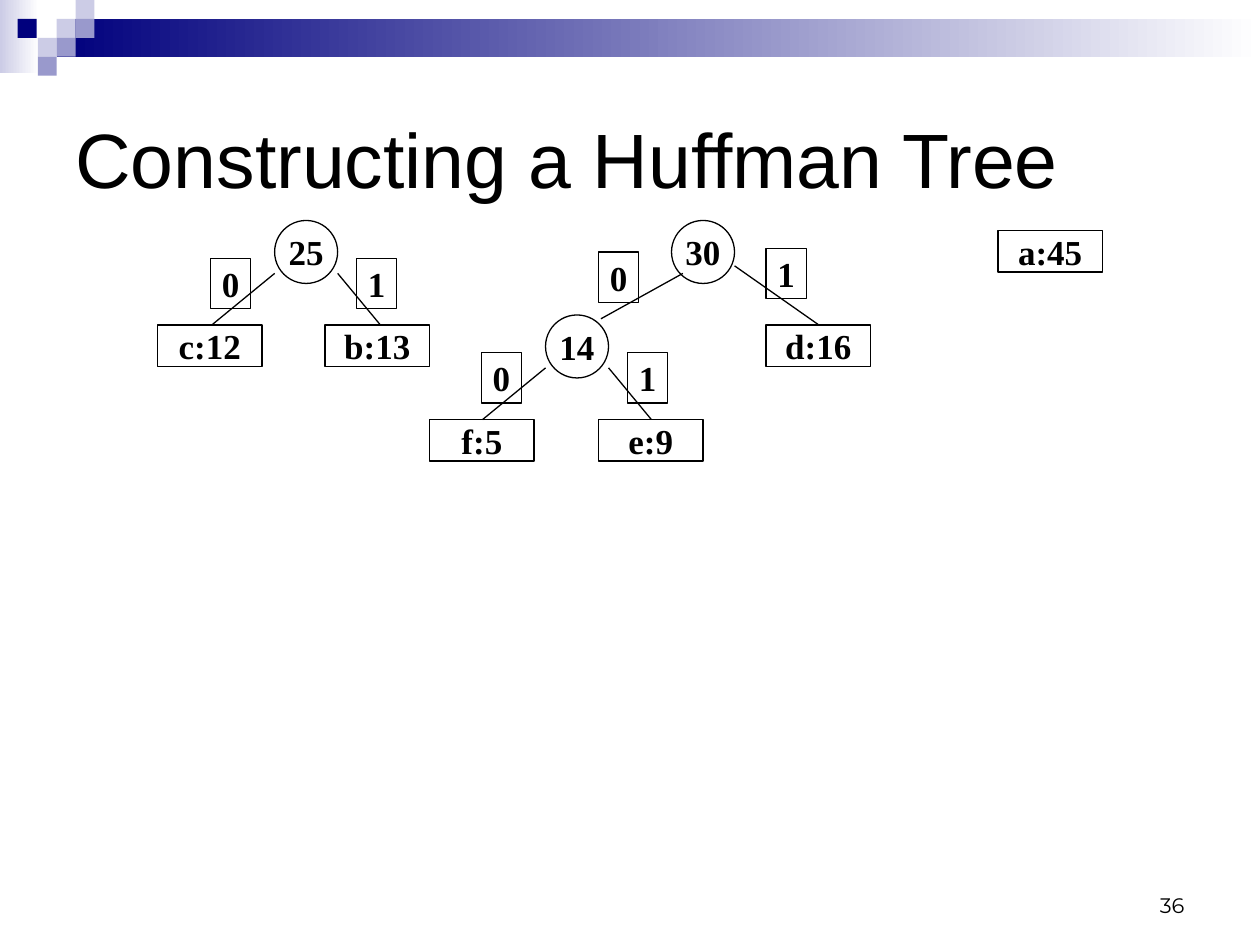
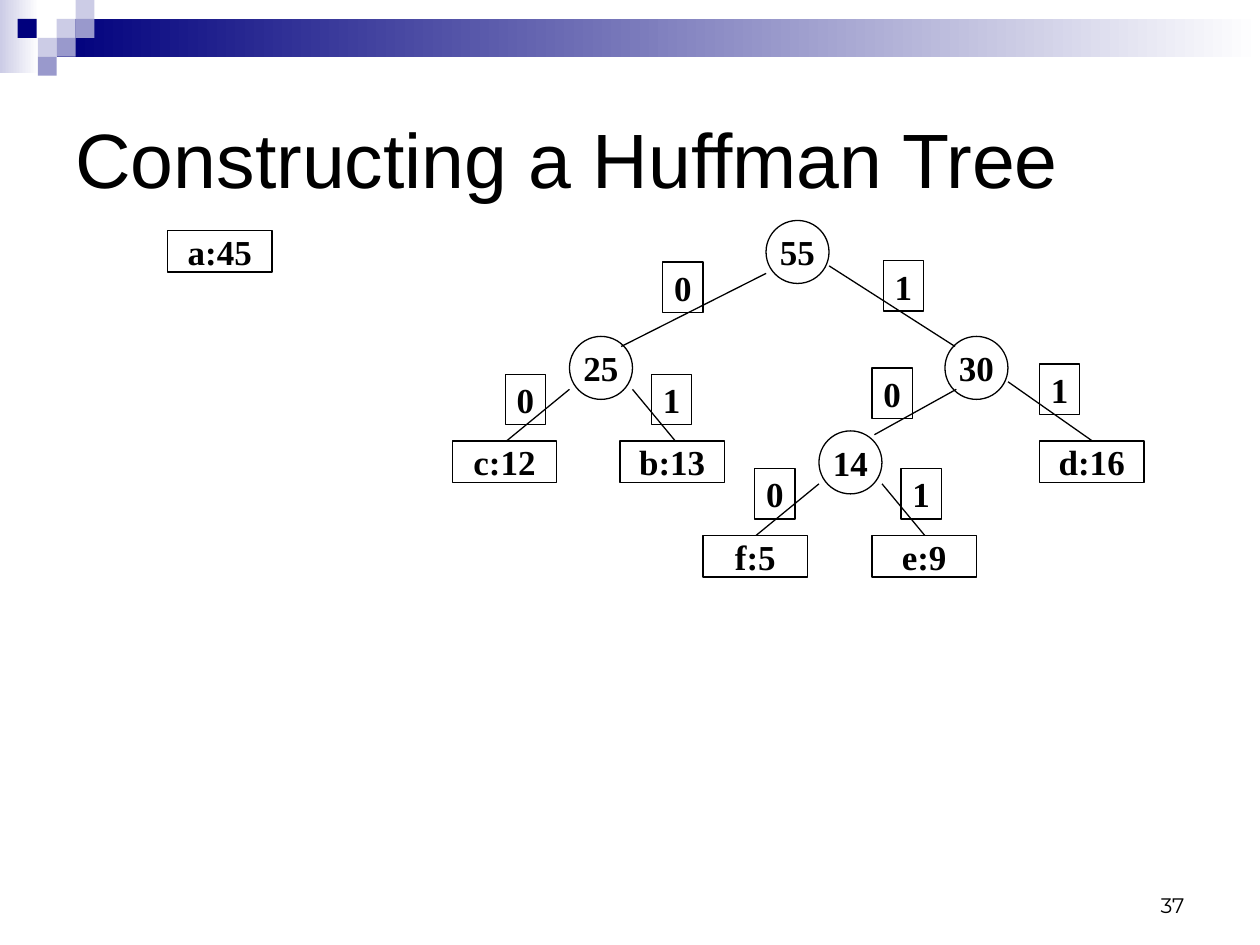
from lxml import etree
from pptx import Presentation
from pptx.dml.color import RGBColor
from pptx.enum import shapes, text
from pptx.oxml import ns
from pptx.util import Inches, Pt

TITLE = "Constructing a Huffman Tree"
BLACK, NAVY, LAVENDER, VIOLET, WHITE = "000000", "00007D", "CCCCE6", "9999CC", "FFFFFF"

# Each root maps to its branches, with offsets from the root's top left corner:
# bit, child, child corner, edge at child, edge at root, bit corner
TREES = {
    "25": [("0", "c:12", (-0.93, 0.83), (-0.5, 0.83), (0, 0.42), (-0.51, 0.3)),
           ("1", "b:13", (0.4, 0.83), (0.84, 0.83), (0.5, 0.42), (0.65, 0.3))],
    "14": [("0", "f:5", (-0.92, 0.83), (-0.5, 0.83), (0, 0.42), (-0.51, 0.3)),
           ("1", "e:9", (0.42, 0.83), (0.84, 0.83), (0.5, 0.42), (0.65, 0.3))],
    "30": [("0", "14", (-1, 0.75), (-0.56, 0.78), (0.09, 0.42), (-0.58, 0.25)),
           ("1", "d:16", (0.75, 0.83), (1.17, 0.83), (0.5, 0.36), (0.75, 0.22))],
    "55": [("0", "25", (-1.56, 0.92), (-1.15, 1), (0, 0.42), (-0.82, 0.33)),
           ("1", "30", (1.42, 0.92), (1.5, 1), (0.5, 0.36), (0.93, 0.32))],
}

# Slide number, then the forest: each root or single leaf with its corner
SLIDES = [
    ("36", [("a:45", (7.92, 1.83)), ("25", (2.18, 1.75)), ("30", (5.33, 1.75))]),
    ("37", [("a:45", (1.33, 1.83)), ("55", (6.08, 1.75))]),
]

ROOT_SIZE, LEAF_SIZE, BIT_SIZE = (0.5, 0.5), (0.83, 0.33), (0.32, 0.4)

# Left, top, width, height, start colour, end colour
BANDS = [(0, 0, 0.31, 0.58, LAVENDER, WHITE), (0.45, 0.15, 9.55, 0.3, NAVY, WHITE)]
TILE = 0.15
TILES = [(0.45, 0.15, LAVENDER), (0.6, 0, LAVENDER), (0.6, 0.15, VIOLET),
         (0.3, 0.3, LAVENDER), (0.14, 0.15, NAVY), (0.45, 0.3, VIOLET),
         (0.3, 0.45, VIOLET)]


def colour(value):
    return RGBColor.from_string(value)


def shift(corner, offset):
    return corner[0] + offset[0], corner[1] + offset[1]


def add_preset(page, kind, corner, size):
    shape = page.shapes.add_shape(kind, *map(Inches, (*corner, *size)))
    shape.shadow.inherit = False
    return shape


def write(box, words, size, font, align, anchor, bold=False):
    frame = box.text_frame
    frame.vertical_anchor = anchor
    para = frame.paragraphs[0]
    para.alignment = align
    span = para.add_run()
    span.text = words
    span.font.size, span.font.name, span.font.bold = Pt(size), font, bold
    span.font.color.rgb = colour(BLACK)


def add_text(page, place, *style):
    box = page.shapes.add_textbox(*map(Inches, place))
    box.text_frame.word_wrap = True
    write(box, *style)


def set_outline(item):
    item.line.color.rgb = colour(BLACK)
    item.line.width = Pt(0.75)


def add_label(page, words, corner, size, kind=shapes.MSO_SHAPE.RECTANGLE):
    """Draw an outlined box or circle with bold centred text."""
    box = add_preset(page, kind, corner, size)
    box.fill.background()
    set_outline(box)
    box.text_frame.word_wrap = False
    write(box, words, 20, "Times New Roman", text.PP_ALIGN.CENTER,
          text.MSO_ANCHOR.MIDDLE, True)


def add_edge(page, start, end):
    edge = page.shapes.add_connector(shapes.MSO_CONNECTOR.STRAIGHT,
                                     *map(Inches, (*start, *end)))
    set_outline(edge)
    etree.SubElement(edge._element.spPr, ns.qn("a:effectLst"))


def add_tree(page, name, corner):
    """Draw a leaf, or a root with all that hangs below it."""
    if name not in TREES:
        add_label(page, name, corner, LEAF_SIZE)
        return
    add_label(page, name, corner, ROOT_SIZE, shapes.MSO_SHAPE.OVAL)
    for bit, child, child_at, edge_start, edge_end, bit_at in TREES[name]:
        add_tree(page, child, shift(corner, child_at))
        add_edge(page, shift(corner, edge_start), shift(corner, edge_end))
        add_label(page, bit, shift(corner, bit_at), BIT_SIZE)


def add_header(page):
    rectangle = shapes.MSO_SHAPE.RECTANGLE
    for left, top, width, height, *ends in BANDS:
        band = add_preset(page, rectangle, (left, top), (width, height))
        band.line.fill.background()
        band.fill.gradient()
        band.fill.gradient_angle = 0
        for stop, end in zip(band.fill.gradient_stops, ends):
            stop.color.rgb = colour(end)
    for left, top, shade in TILES:
        tile = add_preset(page, rectangle, (left, top), (TILE, TILE))
        tile.line.fill.background()
        tile.fill.solid()
        tile.fill.fore_color.rgb = colour(shade)


def main():
    deck = Presentation()
    deck.slide_width, deck.slide_height = Inches(10), Inches(7.5)
    for number, forest in SLIDES:
        page = deck.slides.add_slide(deck.slide_layouts[6])
        add_header(page)
        add_text(page, (7.17, 6.83, 2.33, 0.5), number, 12, "Montserrat",
                 text.PP_ALIGN.RIGHT, text.MSO_ANCHOR.BOTTOM)
        add_text(page, (0.5, 0.5, 9, 1.5), TITLE, 44, "Arial",
                 text.PP_ALIGN.LEFT, text.MSO_ANCHOR.MIDDLE)
        for name, corner in forest:
            add_tree(page, name, corner)
    deck.save("out.pptx")


if __name__ == "__main__":
    main()
